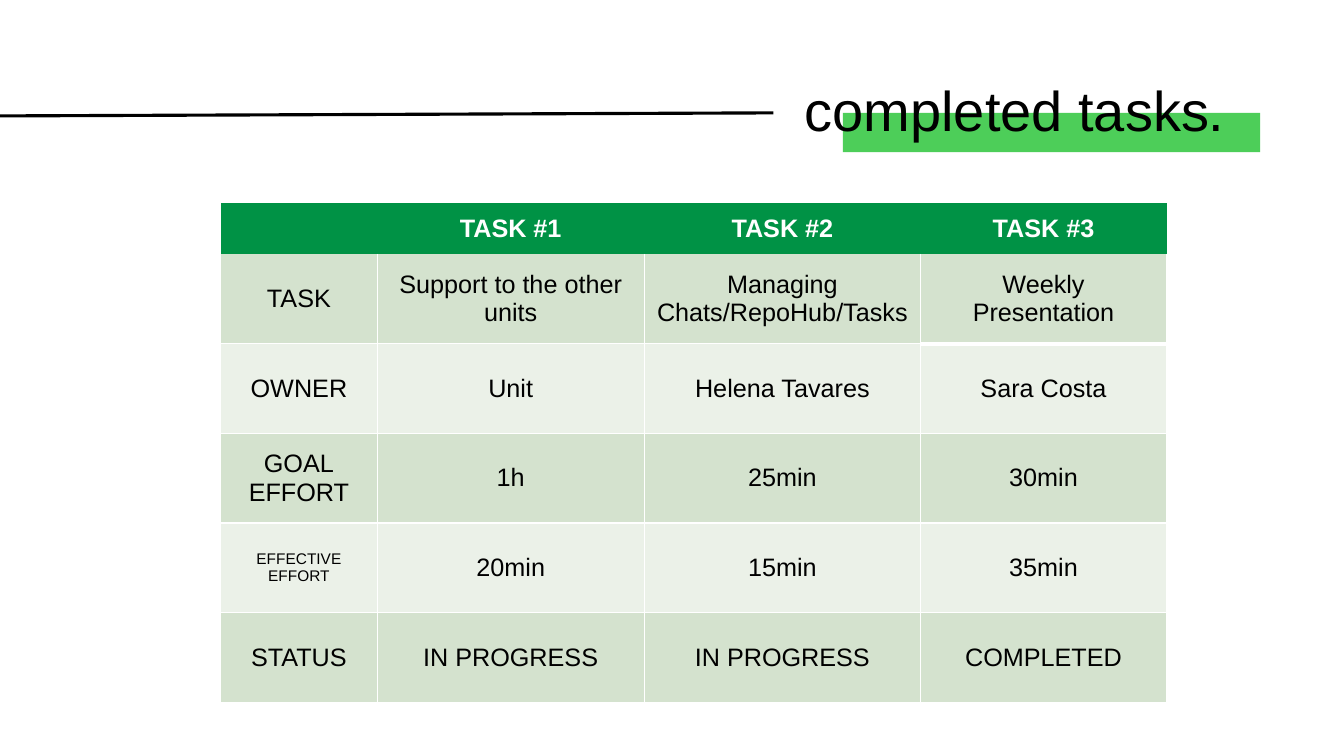
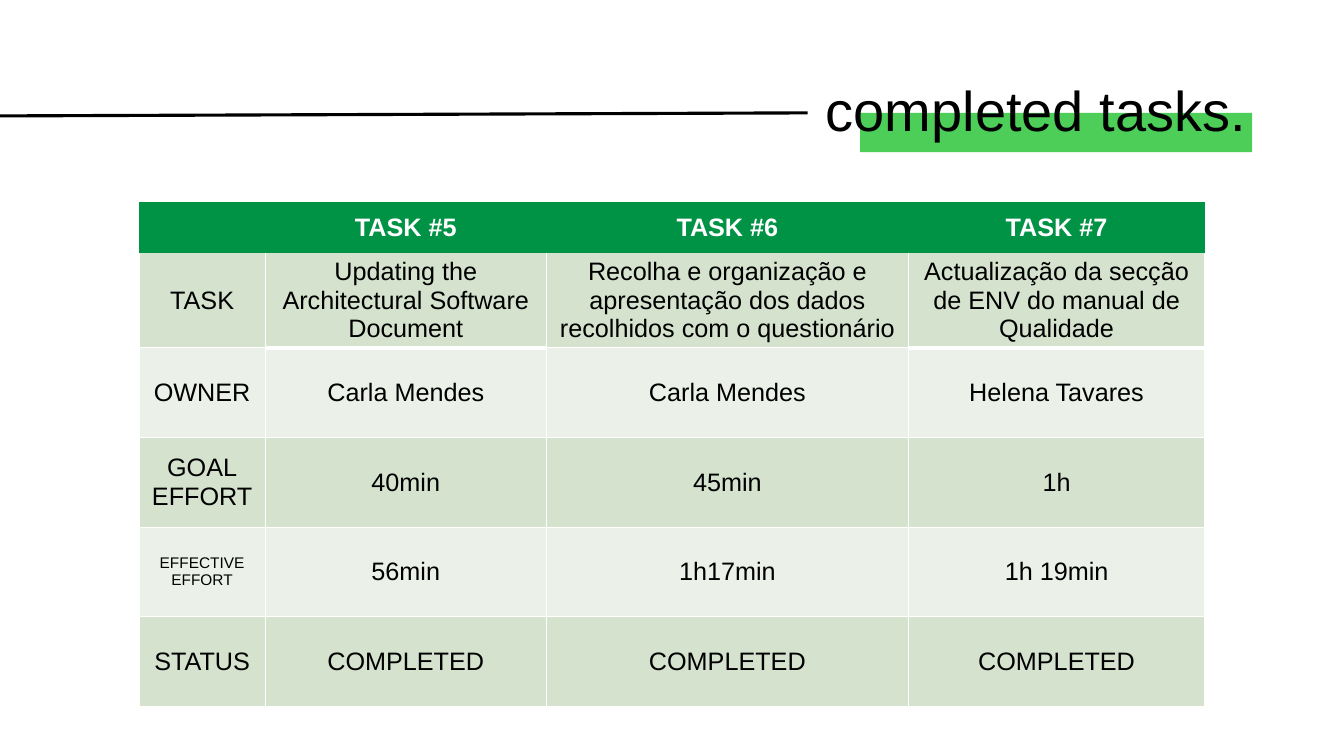
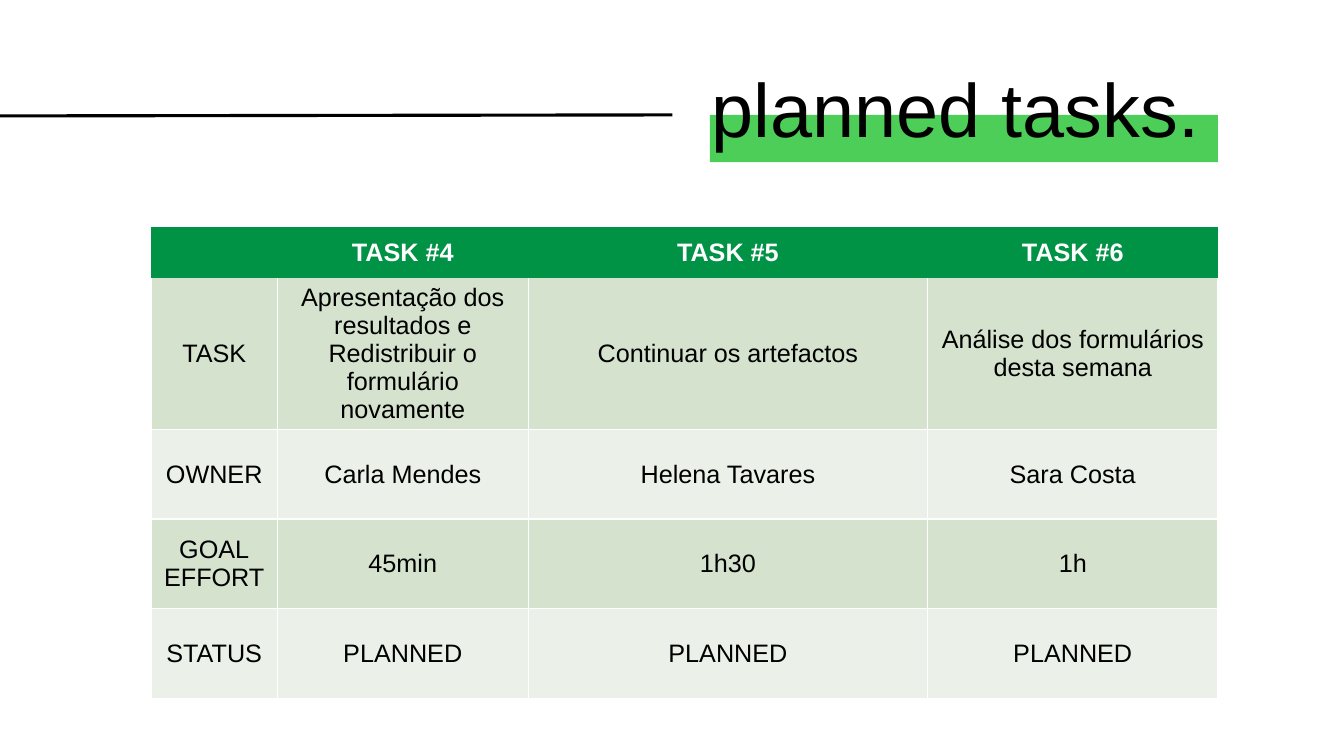
"""Builds three task-table slides with a shared title band."""
from lxml.etree import SubElement as Sub
from pptx import Presentation
from pptx.dml.color import RGBColor as RGB
from pptx.enum.shapes import MSO_CONNECTOR as Conn, MSO_SHAPE as Shape
from pptx.enum.text import MSO_ANCHOR as Anchor, MSO_AUTO_SIZE as Fit, PP_ALIGN as Align
from pptx.oxml.ns import qn
from pptx.util import Inches, Pt

HUES = {"ink": "000000", "white": "FFFFFF", "band": "4DCE59",
        "head": "009245", "odd": "D4E2CE", "even": "EBF1E8"}


class Deck:
    """Holds the style and the current slide."""

    def __init__(self):
        self.prs = Presentation()
        self.prs.slide_width = Inches(13.33)
        self.prs.slide_height = Inches(7.5)
        self.slide = None

    def hue(self, name):
        """Return a named colour."""
        return RGB.from_string(HUES[name])

    def font(self, para, size, hue="ink", bold=False):
        """Set the font of a paragraph."""
        font = para.font
        font.name, font.size, font.bold = "Arial", Pt(size), bold
        font.color.rgb = self.hue(hue)

    def start(self):
        """Add a title-only slide."""
        self.slide = self.prs.slides.add_slide(self.prs.slide_layouts[5])

    def band(self, left, top, width, height):
        """Draw the green band behind the title."""
        bar = self.slide.shapes.add_shape(
            Shape.RECTANGLE, Inches(left), Inches(top), Inches(width), Inches(height))
        bar.shadow.inherit = False
        bar.fill.solid()
        bar.fill.fore_color.rgb = self.hue("band")
        bar.line.fill.background()
        self.slide.shapes.element.insert(2, bar.element)

    def title(self, text, left, width, size):
        """Place and format the title."""
        box = self.slide.shapes.title
        box.left, box.top = Inches(left), Inches(0.4)
        box.width, box.height = Inches(width), Inches(1.45)
        frame = box.text_frame
        frame.text = text
        frame.word_wrap = True
        frame.auto_size = Fit.NONE
        frame.vertical_anchor = Anchor.MIDDLE
        para = frame.paragraphs[0]
        para.alignment = Align.LEFT
        para.line_spacing = 0.9
        self.font(para, size)

    def rule(self, right, end):
        """Draw the line that leads to the title."""
        line = self.slide.shapes.add_connector(
            Conn.STRAIGHT, 0, Inches(1.15), Inches(right), Inches(end))
        line.line.color.rgb = self.hue("ink")
        line.line.width = Pt(2.25)
        Sub(line.element.spPr, qn("a:effectLst"))

    def edge(self, cell, widths):
        """Set white left, right, top and bottom borders, 0 for none."""
        props = cell._tc.get_or_add_tcPr()
        for side, width in zip("LRTB", widths):
            line = Sub(props, qn(f"a:ln{side}"), w=str(Pt(width)))
            if width:
                fill = Sub(line, qn("a:solidFill"))
                Sub(fill, qn("a:srgbClr"), val=HUES["white"])
            else:
                Sub(line, qn("a:noFill"))

    def cell(self, cell, text, fill, size, hue, bold):
        """Fill one cell with centred text."""
        cell.fill.solid()
        cell.fill.fore_color.rgb = self.hue(fill)
        cell.vertical_anchor = Anchor.MIDDLE
        cell.text = text
        for para in cell.text_frame.paragraphs:
            para.alignment = Align.CENTER
            self.font(para, size, hue, bold)

    def table(self, left, top, cols, rows, thick):
        """Add a task table; thick lists columns with a heavy line under row 1."""
        highs = [0.51] + [0.89] * (len(rows) - 1)
        grid = self.slide.shapes.add_table(
            len(rows), len(cols), Inches(left), Inches(top),
            Inches(sum(cols)), Inches(sum(highs))).table
        for col, width in zip(grid.columns, cols):
            col.width = Inches(width)
        for row, high in zip(grid.rows, highs):
            row.height = Inches(high)
        for r, row in enumerate(rows):
            for c, text in enumerate(row):
                cell = grid.cell(r, c)
                if r == 0:
                    self.edge(cell, (0, 0, 0, 0))
                    self.cell(cell, text, "head", 18, "white", True)
                    continue
                over = 0 if r == 1 else 3 if r == 2 and c in thick else 1
                under = 3 if r == 1 and c in thick else 1
                self.edge(cell, (1, 1, over, under))
                size = 11 if text == "EFFECTIVE EFFORT" else 18
                self.cell(cell, text, "odd" if r % 2 else "even", size, "ink", False)


GOAL = "GOAL\nEFFORT"
REAL = "EFFECTIVE EFFORT"
PAGES = [
    dict(band=(8.36, 1.12, 4.14, 0.39), title=("completed tasks.", 7.88, 4.84, 40),
         rule=(7.67, 1.12),
         table=(2.19, 2.01, (1.55, 2.65, 2.74, 2.44), [
             ("", "TASK #1", "TASK #2", "TASK #3"),
             ("TASK", "Support to the other units", "Managing Chats/RepoHub/Tasks",
              "Weekly Presentation"),
             ("OWNER", "Unit", "Helena Tavares", "Sara Costa"),
             (GOAL, "1h", "25min", "30min"),
             (REAL, "20min", "15min", "35min"),
             ("STATUS", "IN PROGRESS", "IN PROGRESS", "COMPLETED"),
         ], (3,))),
    dict(band=(8.53, 1.12, 3.89, 0.39), title=("completed tasks.", 8.09, 4.65, 40),
         rule=(8.01, 1.12),
         table=(1.38, 2, (1.25, 2.79, 3.59, 2.94), [
             ("", "TASK #5", "TASK #6", "TASK #7"),
             ("TASK", "Updating the Architectural Software Document",
              "Recolha e organização e apresentação dos dados recolhidos com o questionário",
              "Actualização da secção de ENV do manual de Qualidade"),
             ("OWNER", "Carla Mendes", "Carla Mendes", "Helena Tavares"),
             (GOAL, "40min", "45min", "1h"),
             (REAL, "56min", "1h17min", "1h 19min"),
             ("STATUS", "COMPLETED", "COMPLETED", "COMPLETED"),
         ], (1, 3))),
    dict(band=(7.04, 1.14, 5.04, 0.47), title=("planned tasks.", 6.96, 5.45, 54),
         rule=(6.67, 1.14),
         table=(1.5, 2.25, (1.25, 2.49, 3.96, 2.88), [
             ("", "TASK #4", "TASK #5", "TASK #6"),
             ("TASK", "Apresentação dos resultados e Redistribuir o formulário novamente",
              "Continuar os artefactos", "Análise dos formulários desta semana"),
             ("OWNER", "Carla Mendes", "Helena Tavares", "Sara Costa"),
             (GOAL, "45min", "1h30", "1h"),
             ("STATUS", "PLANNED", "PLANNED", "PLANNED"),
         ], ())),
]


def main():
    """Build and save the deck."""
    deck = Deck()
    for page in PAGES:
        deck.start()
        deck.band(*page["band"])
        deck.title(*page["title"])
        deck.table(*page["table"])
        deck.rule(*page["rule"])
    deck.prs.save("out.pptx")


if __name__ == "__main__":
    main()
